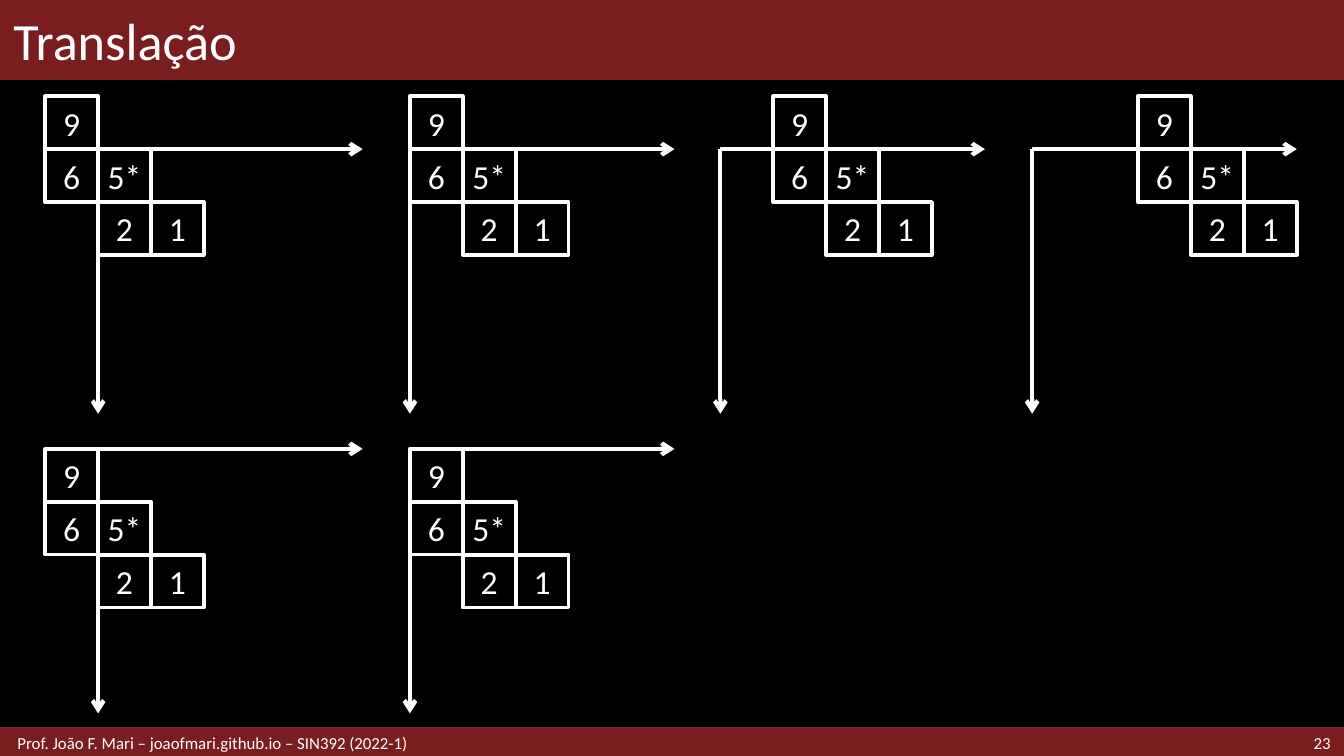
from dataclasses import dataclass

from lxml.etree import SubElement
from pptx import Presentation
from pptx.dml.color import RGBColor
from pptx.enum.shapes import MSO_CONNECTOR as CONN, MSO_SHAPE as SHAPE
from pptx.enum.text import MSO_ANCHOR as ANCHOR, PP_ALIGN as ALIGN
from pptx.oxml.ns import qn
from pptx.util import Inches, Pt


@dataclass(frozen=True)
class Theme:
    font: str = "Calibri"
    back: RGBColor = RGBColor(0x00, 0x00, 0x00)
    bar: RGBColor = RGBColor(0x79, 0x1D, 0x1F)
    ink: RGBColor = RGBColor(0xFF, 0xFF, 0xFF)
    title_size: int = 28
    cell_size: int = 18
    footer_size: int = 9
    cell_line: float = 2
    axis_line: float = 2.25


THEME = Theme()
WIDTH = 10
HEIGHT = WIDTH * 9 / 16
CELL = 1 / 2.54
AXIS = 5 * CELL
AXIS_X = (0.73, 3.05, 5.36, 7.68)
TOP_Y, BOTTOM_Y = 1.11, 3.34
PIECE = (("9", 0, 0), ("6", 0, 1), ("5*", 1, 1), ("2", 1, 2), ("1", 2, 2))


def write(sp, text, size, align=ALIGN.LEFT, margin_x=0.1, margin_y=0.05):
    """Fill a shape with one formatted paragraph."""
    tf = sp.text_frame
    tf.word_wrap = True
    tf.vertical_anchor = ANCHOR.MIDDLE
    tf.margin_left = tf.margin_right = Inches(margin_x)
    tf.margin_top = tf.margin_bottom = Inches(margin_y)
    p = tf.paragraphs[0]
    p.alignment = align
    r = p.add_run()
    r.text = text
    r.font.name = THEME.font
    r.font.size = Pt(size)
    r.font.color.rgb = THEME.ink


def place(sp, x, y, w, h):
    """Move and size a shape."""
    sp.left, sp.top, sp.width, sp.height = map(Inches, (x, y, w, h))


def add_bar(s, y, h, line):
    """Add a full-width coloured band."""
    sp = s.shapes.add_shape(SHAPE.RECTANGLE, *map(Inches, (0, y, WIDTH, h)))
    sp.shadow.inherit = False
    sp.fill.solid()
    sp.fill.fore_color.rgb = THEME.bar
    sp.line.color.rgb = THEME.bar
    sp.line.width = Pt(line)


def add_title(s, text):
    """Put the title placeholder on the top band."""
    sp = s.shapes.title
    s.shapes._spTree.append(sp._element)
    place(sp, 0, 0, WIDTH, 0.59)
    write(sp, text, THEME.title_size)


def add_footer(s, text, x, w, **fmt):
    """Add a text box on the bottom band."""
    sp = s.shapes.add_textbox(0, 0, 0, 0)
    place(sp, x, 5.42, w, 0.21)
    write(sp, text, THEME.footer_size, margin_y=0, **fmt)


def add_arrow(shapes, x1, y1, x2, y2):
    """Add a straight line with an open arrowhead at its end."""
    ln = shapes.add_connector(CONN.STRAIGHT, *map(Inches, (x1, y1, x2, y2)))
    ln.line.color.rgb = THEME.ink
    ln.line.width = Pt(THEME.axis_line)
    SubElement(ln.line._get_or_add_ln(), qn("a:tailEnd"), type="arrow")
    SubElement(ln._element.spPr, qn("a:effectLst"))


def add_cell(shapes, text, x, y):
    """Add one outlined square with its value."""
    sp = shapes.add_shape(SHAPE.RECTANGLE, *map(Inches, (x, y, CELL, CELL)))
    sp.shadow.inherit = False
    sp.fill.background()
    sp.line.color.rgb = THEME.ink
    sp.line.width = Pt(THEME.cell_line)
    write(sp, text, THEME.cell_size, ALIGN.CENTER, 0.04, 0.04)


def add_plot(s, x, y, shift_x, shift_y):
    """Add a pair of axes and the piece shifted by whole cells."""
    shapes = s.shapes.add_group_shape().shapes
    add_arrow(shapes, x, y, x, y + AXIS)
    add_arrow(shapes, x, y, x + AXIS, y)
    for text, col, row in reversed(PIECE):
        add_cell(shapes, text, x + (col + shift_x) * CELL, y + (row + shift_y) * CELL)


def main():
    """Build the slide and save it."""
    prs = Presentation()
    prs.slide_width, prs.slide_height = Inches(WIDTH), Inches(HEIGHT)
    s = prs.slides.add_slide(prs.slide_layouts[5])
    s.background.fill.solid()
    s.background.fill.fore_color.rgb = THEME.back
    add_bar(s, 0, 0.59, 1)
    add_bar(s, 5.42, 0.21, 2)
    add_title(s, "Translação")
    add_footer(s, "23", 8.86, 1.14, align=ALIGN.RIGHT)
    add_footer(s, "Prof. João F. Mari – joaofmari.github.io – SIN392 (2022-1)",
               0, 6.89, margin_x=0.13)
    for i, x in enumerate(AXIS_X):
        add_plot(s, x, TOP_Y, i - 1, -1)
    for i, x in enumerate(AXIS_X[:2]):
        add_plot(s, x, BOTTOM_Y, i - 1, 0)
    prs.save("out.pptx")


if __name__ == "__main__":
    main()
